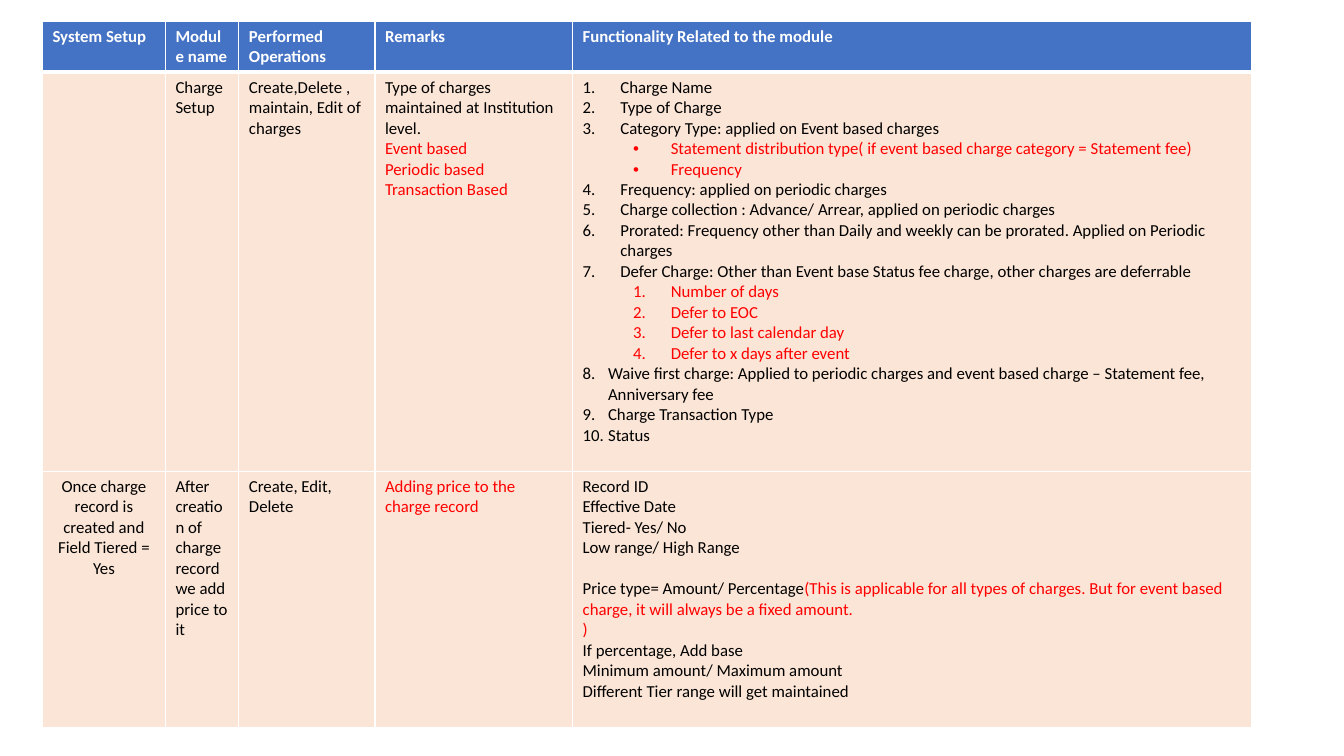
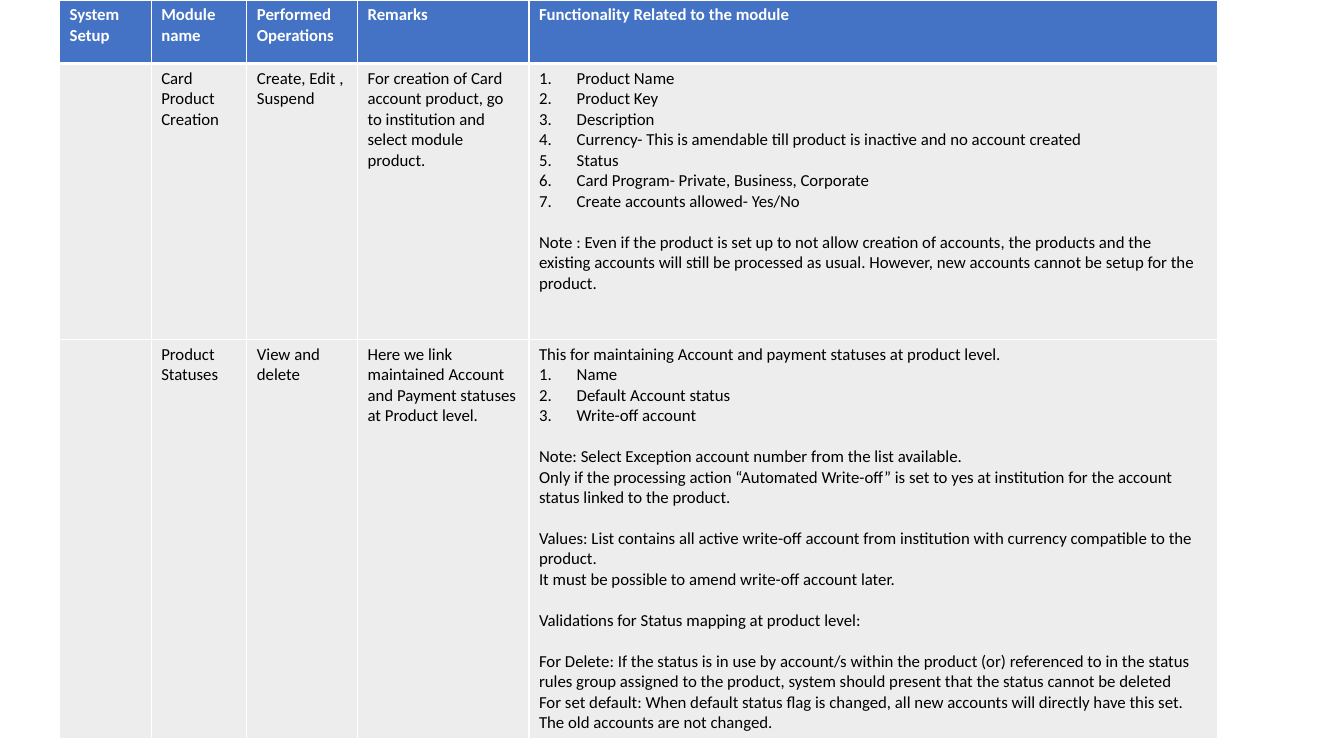
from dataclasses import dataclass

from lxml.etree import SubElement
from pptx import Presentation
from pptx.dml.color import RGBColor
from pptx.enum.text import PP_ALIGN
from pptx.oxml.ns import qn
from pptx.util import Cm, Pt

WHITE = RGBColor(0xFF, 0xFF, 0xFF)
BLACK = RGBColor(0x00, 0x00, 0x00)
RED = RGBColor(0xFF, 0x00, 0x00)
HEADER_BLUE = RGBColor(0x44, 0x72, 0xC4)
PEACH = RGBColor(0xFB, 0xE5, 0xD6)
LIGHT_GREY = RGBColor(0xED, 0xED, 0xED)

FONT = "Calibri"
TEXT_SIZE = Pt(12)
LINE_GAP = Pt(14.6)
THIN, THICK = Pt(1), Pt(3)


@dataclass
class ListStyle:
    level: int
    left: float
    hanging: float
    bullet: str = ""
    start: int = 1


NUMBERED = ListStyle(0, 0.95, 0.95)
RED_BULLET = ListStyle(1, 2.22, 0.95, bullet="•")
RED_NUMBERED = ListStyle(2, 2.22, 0.95)
FROM_EIGHT = ListStyle(2, 0.64, 0.64, start=8)


@dataclass
class Line:
    """One paragraph: (text, colour) runs, list style and a gap above."""
    runs: list
    style: ListStyle = None
    gap: bool = False
    centred: bool = False


def lines(*texts, color=BLACK, style=None, gap=False, centred=False):
    """Paragraphs of one look; a gap goes above the first of them."""
    return [Line([(text, color)], style, gap and i == 0, centred)
            for i, text in enumerate(texts)]


HEADINGS = ["System Setup", "Module name", "Performed Operations", "Remarks",
            "Functionality Related to the module"]

CHARGE_ROWS = [
    [
        [],
        lines("Charge Setup"),
        lines("Create,Delete , maintain, Edit of charges"),
        lines("Type of charges maintained at Institution level.")
        + lines("Event based", "Periodic based", "Transaction Based", color=RED),
        lines("Charge Name", "Type of Charge",
              "Category Type: applied on Event based charges", style=NUMBERED)
        + lines("Statement distribution type( if event based charge category = Statement fee)",
                "Frequency", color=RED, style=RED_BULLET)
        + lines("Frequency: applied on periodic charges",
                "Charge collection : Advance/ Arrear, applied on periodic charges",
                "Prorated: Frequency other than Daily and weekly can be prorated. "
                "Applied on Periodic charges",
                "Defer Charge: Other than Event base Status fee charge, "
                "other charges are deferrable", style=NUMBERED)
        + lines("Number of days", "Defer to EOC", "Defer to last calendar day",
                "Defer to x days after event", color=RED, style=RED_NUMBERED)
        + lines("Waive first charge: Applied to periodic charges and event based charge "
                "– Statement fee, Anniversary fee",
                "Charge Transaction Type", "Status", style=FROM_EIGHT),
    ],
    [
        lines("Once charge record is created and Field Tiered = Yes", centred=True),
        lines("After creation of charge record we add price to it"),
        lines("Create, Edit, Delete"),
        lines("Adding price to the charge record", color=RED),
        lines("Record ID", "Effective Date", "Tiered- Yes/ No", "Low range/ High Range")
        + [Line([("Price type= Amount/ Percentage", BLACK),
                 ("(This is applicable for all types of charges. But for event based "
                  "charge, it will always be a fixed amount.", RED)], gap=True)]
        + lines(")", color=RED)
        + lines("If percentage, Add base", "Minimum amount/ Maximum amount",
                "Different Tier range will get maintained"),
    ],
]

PRODUCT_ROWS = [
    [
        [],
        lines("Card Product Creation"),
        lines("Create, Edit , Suspend"),
        lines("For creation of Card account product, go to institution and "
              "select module product."),
        lines("Product Name", "Product Key", "Description",
              "Currency- This is amendable till product is inactive and no account created",
              "Status", "Card Program- Private, Business, Corporate",
              "Create accounts allowed- Yes/No", style=NUMBERED)
        + lines("Note : Even if the product is set up to not allow creation of accounts, "
                "the products and the existing accounts will still be processed as usual. "
                "However, new accounts cannot be setup for the product.", gap=True),
    ],
    [
        [],
        lines("Product Statuses"),
        lines("View and delete"),
        lines("Here we link maintained Account and Payment statuses at Product level."),
        lines("This for maintaining Account and payment statuses at product level.")
        + lines("Name", "Default Account status", "Write-off account", style=NUMBERED)
        + lines("Note: Select Exception account number from the list available.",
                "Only if the processing action “Automated Write-off” is set to yes at "
                "institution for the account status linked to the product.", gap=True)
        + lines("Values: List contains all active write-off account from institution "
                "with currency compatible to the product.",
                "It must be possible to amend write-off account later.", gap=True)
        + lines("Validations for Status mapping at product level:", gap=True)
        + lines("For Delete: If the status is in use by account/s within the product (or) "
                "referenced to in the status rules group assigned to the product, system "
                "should present that the status cannot be deleted",
                "For set default: When default status flag is changed, all new accounts "
                "will directly have this set. The old accounts are not changed.", gap=True),
    ],
]

# Lengths in centimetres
SLIDES = [
    dict(rows=CHARGE_ROWS, fill=PEACH, left=1.07, top=0.53,
         widths=[3.1, 1.85, 3.43, 4.98, 17.12], heights=[1.24, 10.06, 6.45]),
    dict(rows=PRODUCT_ROWS, fill=LIGHT_GREY, left=1.5, top=0,
         widths=[2.31, 2.41, 2.79, 4.32, 17.35], heights=[1.6, 6.95, 10.06]),
]


def apply_list_style(paragraph, style):
    paragraph.level = style.level
    properties = paragraph._p.get_or_add_pPr()
    properties.set("marL", str(Cm(style.left)))
    properties.set("indent", str(-Cm(style.hanging)))
    if style.bullet:
        SubElement(properties, qn("a:buFont"), typeface="Arial")
        SubElement(properties, qn("a:buChar"), char=style.bullet)
    else:
        SubElement(properties, qn("a:buFont"), typeface="+mj-lt")
        numbering = SubElement(properties, qn("a:buAutoNum"), type="arabicPeriod")
        if style.start > 1:
            numbering.set("startAt", str(style.start))


def write_cell(cell, content, bold):
    frame = cell.text_frame
    for i, line in enumerate(content):
        paragraph = frame.add_paragraph() if i else frame.paragraphs[0]
        paragraph.alignment = PP_ALIGN.CENTER if line.centred else PP_ALIGN.LEFT
        if line.gap:
            paragraph.space_before = LINE_GAP
        if line.style:
            apply_list_style(paragraph, line.style)
        for text, color in line.runs:
            run = paragraph.add_run()
            run.text = text
            run.font.name = FONT
            run.font.size = TEXT_SIZE
            run.font.bold = bold
            run.font.color.rgb = color


def set_borders(cell, top, bottom):
    properties = cell._tc.get_or_add_tcPr()
    for side, width in (("L", THIN), ("R", THIN), ("T", top), ("B", bottom)):
        border = SubElement(properties, qn(f"a:ln{side}"), w=str(width))
        fill = SubElement(border, qn("a:solidFill"))
        SubElement(fill, qn("a:srgbClr"), val=str(WHITE))


def add_module_table(slide, rows, fill, left, top, widths, heights):
    table = slide.shapes.add_table(
        len(heights), len(widths), Cm(left), Cm(top),
        Cm(sum(widths)), Cm(sum(heights))).table
    for column, width in zip(table.columns, widths):
        column.width = Cm(width)
    for row, height in zip(table.rows, heights):
        row.height = Cm(height)
    header = [lines(heading, color=WHITE) for heading in HEADINGS]
    for r, contents in enumerate([header] + rows):
        is_header = r == 0
        for c, content in enumerate(contents):
            cell = table.cell(r, c)
            set_borders(cell, THICK if r == 1 else THIN, THICK if is_header else THIN)
            cell.fill.solid()
            cell.fill.fore_color.rgb = HEADER_BLUE if is_header else fill
            write_cell(cell, content, is_header)


def main():
    deck = Presentation()
    deck.slide_width, deck.slide_height = Cm(33.87), Cm(19.05)
    blank_layout = deck.slide_layouts[6]
    for module_table in SLIDES:
        add_module_table(deck.slides.add_slide(blank_layout), **module_table)
    deck.save("out.pptx")


if __name__ == "__main__":
    main()
